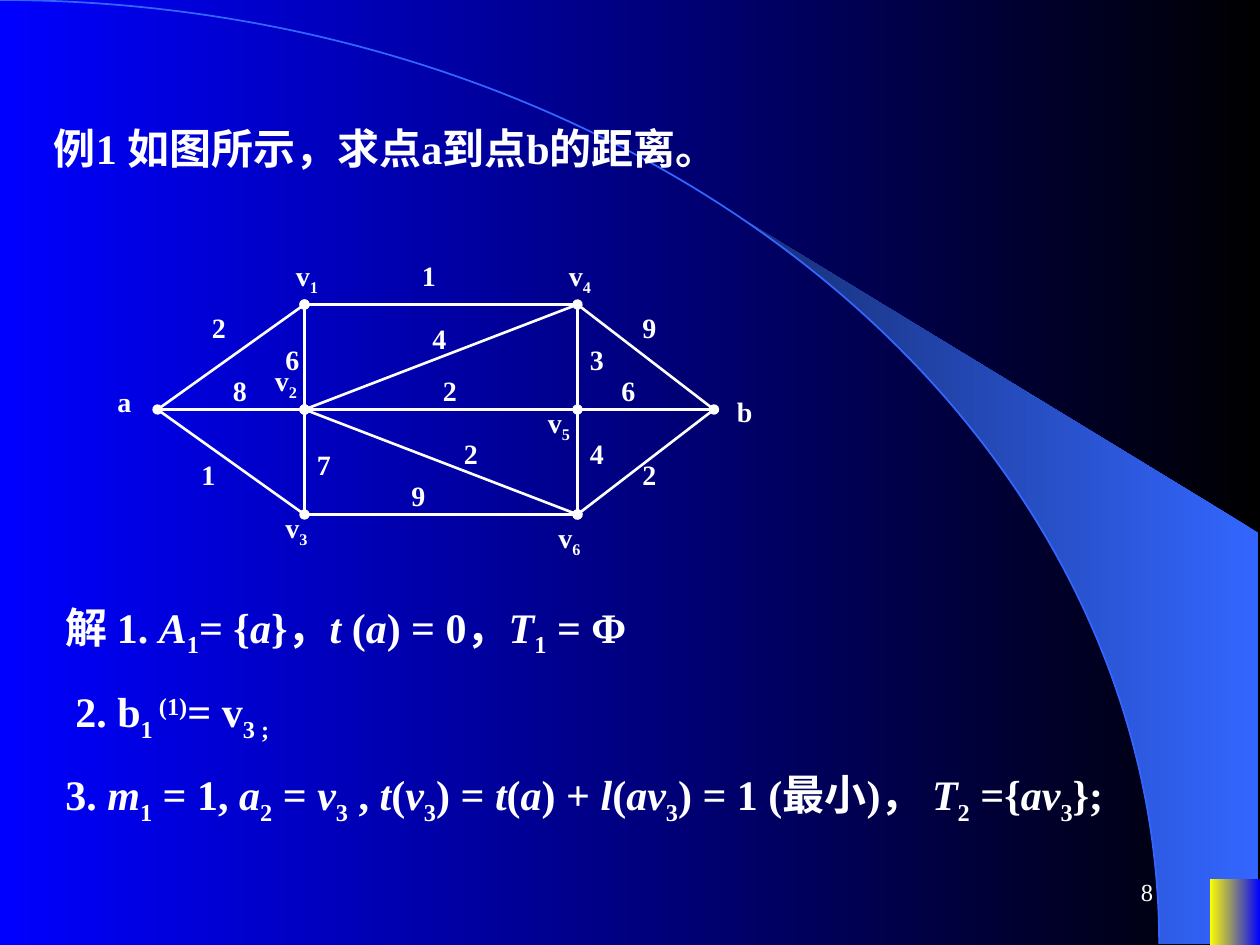
import math

from lxml import etree
from pptx import Presentation
from pptx import util as u
from pptx.dml.color import RGBColor
from pptx.enum import shapes, text
from pptx.oxml.ns import qn

COLORS = {"white": "FFFFFF", "black": "000000", "blue": "0000FF",
          "sky": "3366FF", "navy": "172F75", "yellow": "FFFF00"}
FONT = "Times New Roman"
WIDTH, HEIGHT = 10, 7.5
RADIUS_X, RADIUS_Y = 9.2, 7.49  # big decorative arc, centred on the left edge
UNIT = 1 / 12  # the graph lies on a grid of twelfths of an inch

NODES = {"a": (15, 39), "v1": (29, 29), "v2": (29, 39), "v3": (29, 49),
         "v4": (55, 29), "v5": (55, 39), "v6": (55, 49), "b": (68, 39)}
# start, end, dots at both ends
EDGES = [("v1", "v4", False), ("v1", "a", True), ("a", "v3", False),
         ("v1", "v3", True), ("a", "v2", False), ("v4", "v6", False),
         ("v3", "v6", False), ("v2", "v5", True), ("v5", "b", False),
         ("v4", "b", False), ("b", "v6", True), ("v4", "v2", True),
         ("v2", "v6", True)]
# label, column, row
WEIGHTS = [("8", 21, 35), ("1", 18, 43), ("2", 19, 29), ("6", 26, 32),
           ("1", 39, 24), ("4", 40, 30), ("2", 41, 35), ("2", 43, 41),
           ("7", 29, 42), ("9", 38, 45), ("2", 60, 43), ("4", 55, 41),
           ("6", 58, 35), ("9", 60, 29), ("3", 55, 32)]
NODE_LABELS = [("a", 10, 36), ("v|_1", 27, 24), ("v|_2", 25, 34),
               ("v|_3", 26, 48), ("v|_4", 53, 24), ("v|_5", 51, 38),
               ("v|_6", 52, 49), ("b", 69, 37)]

# Markup: "|" parts the runs; "/" starts an italic run, "_" a sub-, "^" a superscript
STEPS = [
    ("解 1. |/A|_1|= {|/a|}，|/t |(|/a|) = 0，|/T|_1| = Φ", 0.42, 4.72, 7.83),
    ("2. b|_1 |^(1)|= v|_3 ;", 0.5, 5.39, 7.83),
    ("3. |/m|_1| = 1, |/a|_2| = |/v|_3| , |/t|(|/v|_3|) = |/t|(|/a|) +|/ l|("
     "|/av|_3|) = 1 (最小)， |/T|_2| ={|/av|_3|};", 0.42, 6.05, 9.08),
]
BASELINES = {"_": "-25000", "^": "30000"}


def color(name):
    return RGBColor.from_string(COLORS[name])


def set_gradient(fill, right, left):
    fill.gradient()
    fill.gradient_angle = 180
    for stop, name, position in zip(fill.gradient_stops, (right, left), (0, 1)):
        stop.color.rgb = color(name)
        stop.position = position


def add_text(parent, markup, left, top, width, height, size, bold=True,
             anchor=text.MSO_ANCHOR.TOP, grow=True):
    box = parent.shapes.add_textbox(*map(u.Inches, (left, top, width, height)))
    frame = box.text_frame
    frame.word_wrap = True
    frame.vertical_anchor = anchor
    if grow:
        frame.auto_size = text.MSO_AUTO_SIZE.SHAPE_TO_FIT_TEXT
    paragraph = frame.paragraphs[0]
    for part in markup.split("|"):
        style = part[0] if part[0] in "/_^" else ""
        run = paragraph.add_run()
        run.text = part[len(style):]
        run.font.name = FONT
        run.font.size = u.Pt(size)
        run.font.bold = bold
        run.font.color.rgb = color("white")
        if style == "/":
            run.font.italic = True
        elif style:
            run._r.get_or_add_rPr().set("baseline", BASELINES[style])
    return paragraph


def add_edge(parent, start, end, dots):
    ends = [u.Inches(value * UNIT) for value in NODES[start] + NODES[end]]
    edge = parent.shapes.add_connector(shapes.MSO_CONNECTOR.STRAIGHT, *ends)
    edge.line.color.rgb = color("white")
    edge.line.width = u.Pt(1.5)
    if dots:
        line = edge.line._get_or_add_ln()
        for tag in ("a:headEnd", "a:tailEnd"):
            etree.SubElement(line, qn(tag), type="oval")
    etree.SubElement(edge._element.spPr, qn("a:effectLst"))


def add_decoration(slide):
    # Wedge between the arc and the right edge
    start = math.asin(5.89 / RADIUS_X)
    angles = [start + (math.pi / 2 - start) * step / 24 for step in range(25)]
    curve = [(u.Inches(RADIUS_X * math.sin(angle)),
              u.Inches(RADIUS_Y * (1 - math.cos(angle)))) for angle in angles]
    corners = [(u.Inches(9.99), u.Inches(y)) for y in (RADIUS_Y, 4.23)]
    builder = slide.shapes.build_freeform(*curve[0])
    builder.add_line_segments(curve[1:] + corners, close=True)
    wedge = builder.convert_to_shape()
    set_gradient(wedge.fill, "sky", "navy")
    wedge.line.fill.background()

    # Arc: a quarter of an ellipse
    arc = slide.shapes.add_shape(
        shapes.MSO_SHAPE.ARC, u.Inches(-RADIUS_X), 0,
        u.Inches(2 * RADIUS_X), u.Inches(2 * RADIUS_Y))
    arc.fill.background()
    arc.line.color.rgb = color("sky")
    arc.line.width = u.Pt(1)

    # Corner block
    block = slide.shapes.add_shape(
        shapes.MSO_SHAPE.RECTANGLE,
        *map(u.Inches, (WIDTH - 0.4, HEIGHT - 0.52, 0.4, 0.52)))
    set_gradient(block.fill, "blue", "yellow")
    block.line.fill.background()

    for shape in (wedge, arc, block):
        shape.shadow.inherit = False


def add_graph(slide):
    group = slide.shapes.add_group_shape()
    for edge in EDGES:
        add_edge(group, *edge)
    for labels, height in ((WEIGHTS, 0.37), (NODE_LABELS, 0.41)):
        for label, column, row in labels:
            add_text(group, label, column * UNIT, row * UNIT, 0.43, height, 16)


def main():
    presentation = Presentation()
    presentation.slide_width = u.Inches(WIDTH)
    presentation.slide_height = u.Inches(HEIGHT)
    slide = presentation.slides.add_slide(presentation.slide_layouts[6])
    set_gradient(slide.background.fill, "black", "blue")
    add_decoration(slide)

    # Problem
    problem = add_text(slide, "例1 如图所示，求点a到点b的距离。",
                       0.33, 0.92, 9, 0.5, 24)
    problem.space_before = u.Pt(15)
    add_graph(slide)

    # Solution steps
    for markup, left, top, width in STEPS:
        add_text(slide, markup, left, top, width, 0.56, 24,
                 anchor=text.MSO_ANCHOR.MIDDLE)

    # Page number
    number = add_text(slide, "8", 7.17, 6.83, 2.08, 0.5, 14, bold=False,
                      anchor=text.MSO_ANCHOR.MIDDLE, grow=False)
    number.alignment = text.PP_ALIGN.RIGHT
    presentation.save("out.pptx")


if __name__ == "__main__":
    main()
